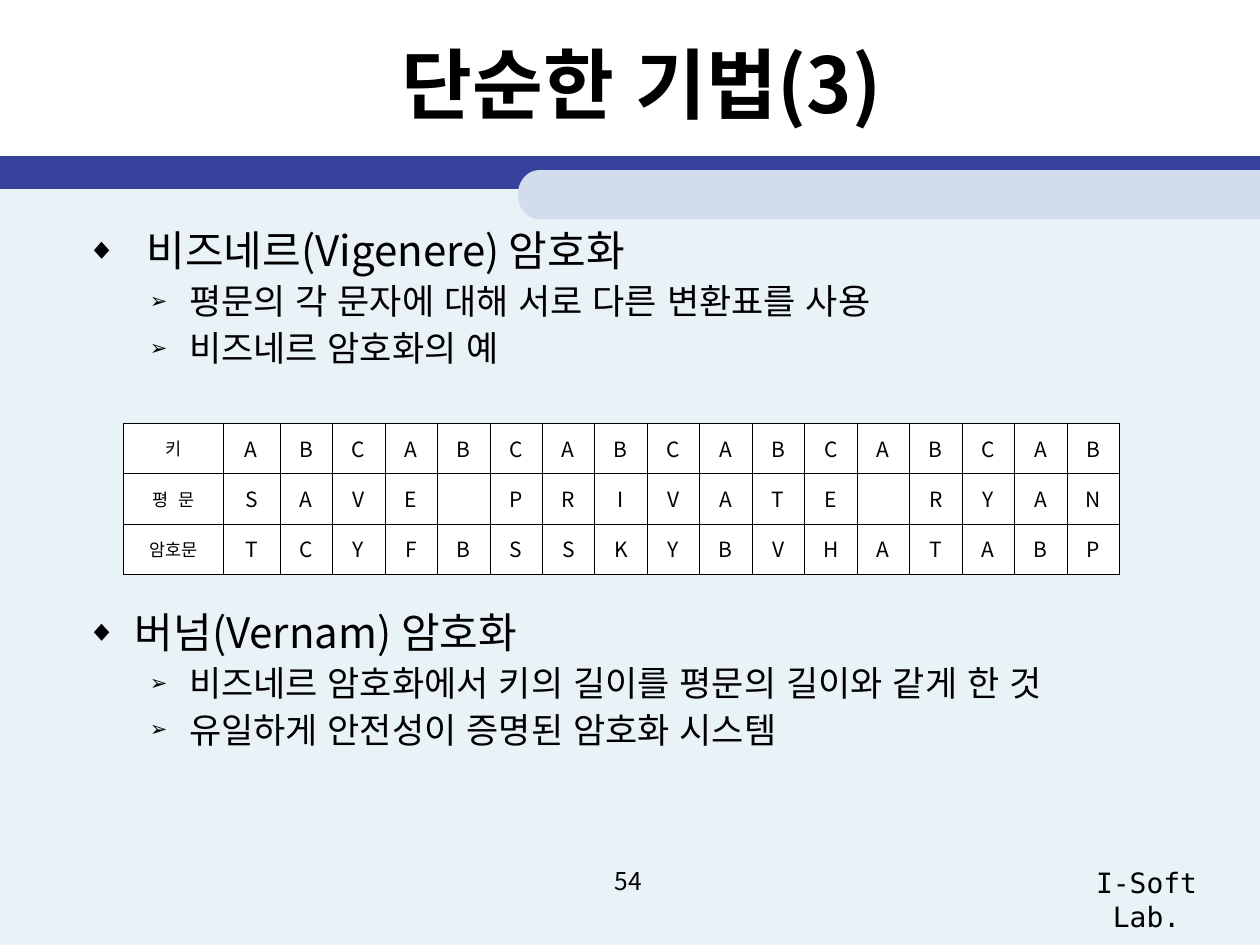
from math import cos, pi, sin

from lxml.etree import SubElement
from pptx import Presentation
from pptx.dml.color import RGBColor
from pptx.enum.lang import MSO_LANGUAGE_ID
from pptx.enum.shapes import MSO_SHAPE
from pptx.enum.text import MSO_ANCHOR, MSO_AUTO_SIZE, PP_ALIGN
from pptx.oxml.ns import qn
from pptx.util import Inches, Pt

TITLE = "단순한 기법(3)"
# level, text, space before in points
POINTS = [
    (0, " 비즈네르(Vigenere) 암호화", 0),
    (1, "평문의 각 문자에 대해 서로 다른 변환표를 사용", 5),
    (1, "비즈네르 암호화의 예", 5),
    (0, "버넘(Vernam) 암호화", 139),  # leaves room for the cipher table
    (1, "비즈네르 암호화에서 키의 길이를 평문의 길이와 같게 한 것", 5),
    (1, "유일하게 안전성이 증명된 암호화 시스템", 5),
]
CIPHER_ROWS = [
    ("키", "ABCABCABCABCABCAB"),
    ("평\u00a0 문", "SAVE PRIVATE RYAN"),
    ("암호문", "TCYFBSSKYBVHATABP"),
]
PAGE_NUMBER = "54"
LAB = "I-Soft Lab."

FONT = "Noto Sans CJK KR"
MONO = "DejaVu Sans Mono"
COLORS = {
    "text": "000000",
    "cell": "FFFFFF",
    "panel": "E8F2F7",
    "band": "36429B",
    "tab": "D1DDEC",
}
LEVELS = [
    {"size": 24, "margin": 0.38, "hanging": 0.38, "bullet": "◆", "percent": 70},
    {"size": 20, "margin": 0.81, "hanging": 0.31, "bullet": "➢", "percent": 60},
]


def color(name):
    return RGBColor.from_string(COLORS[name])


def write(para, text, size=12, font=FONT, bold=False, align=None):
    para.alignment = align
    span = para.add_run()
    span.text = text
    span.font.size = Pt(size)
    span.font.name = font
    span.font.bold = bold
    span.font.language_id = MSO_LANGUAGE_ID.KOREAN
    span.font.color.rgb = color("text")
    properties = span.font._element
    SubElement(properties, qn("a:ea")).set("typeface", font)


def place(box, left, top, width, height):
    box.left, box.top = Inches(left), Inches(top)
    box.width, box.height = Inches(width), Inches(height)


def paint(shape, name):
    shape.shadow.inherit = False
    shape.fill.solid()
    shape.fill.fore_color.rgb = color(name)
    shape.line.fill.background()


def add_backdrop(page):
    """Draw the panel, band and rounded tab behind the placeholders."""
    shapes = page.shapes
    panel, band = [
        shapes.add_shape(MSO_SHAPE.RECTANGLE, 0, Inches(top), Inches(10), Inches(height))
        for top, height in [(1.4, 6.1), (1.24, 0.26)]
    ]
    left, right, top, bottom = [Inches(edge) for edge in (4.11, 10, 1.35, 1.74)]
    radius_x, radius_y = Inches(0.17), (bottom - top) / 2
    steps = 24
    arc = [
        (left + radius_x * (1 - sin(pi * step / steps)),
         top + radius_y * (1 - cos(pi * step / steps)))
        for step in range(steps + 1)
    ]
    builder = shapes.build_freeform(right, top)
    builder.add_line_segments(arc + [(right, bottom)], close=True)
    tab = builder.convert_to_shape()
    for index, (shape, name) in enumerate([(panel, "panel"), (band, "band"), (tab, "tab")]):
        paint(shape, name)
        shapes._spTree.insert(2 + index, shape._element)


def add_bullet(para, margin, hanging, bullet, percent):
    properties = para._p.get_or_add_pPr()
    properties.set("marL", str(Inches(margin)))
    properties.set("indent", str(-Inches(hanging)))
    tint = SubElement(properties, qn("a:buClr"))
    SubElement(tint, qn("a:srgbClr")).set("val", COLORS["text"])
    SubElement(properties, qn("a:buSzPct")).set("val", str(percent * 1000))
    SubElement(properties, qn("a:buChar")).set("char", bullet)


def fill_body(body):
    place(body, 0.59, 1.78, 9, 4.95)
    frame = body.text_frame
    frame.auto_size = MSO_AUTO_SIZE.NONE
    for index, (level, text, space) in enumerate(POINTS):
        para = frame.add_paragraph() if index else frame.paragraphs[0]
        style = dict(LEVELS[level])
        size = style.pop("size")
        add_bullet(para, **style)
        para.level = level
        para.line_spacing = 0.9
        para.space_before = Pt(space)
        write(para, text, size=size, align=PP_ALIGN.LEFT)


def add_borders(cell):
    properties = cell._tc.get_or_add_tcPr()
    for index, side in enumerate(["a:lnL", "a:lnR", "a:lnT", "a:lnB"]):
        line = properties.makeelement(qn(side), {"w": str(Pt(0.06))})
        fill = SubElement(line, qn("a:solidFill"))
        SubElement(fill, qn("a:srgbClr")).set("val", COLORS["text"])
        properties.insert(index, line)


def add_cipher_table(page):
    width, height = 7.91, 1.19
    label_width, first_width = 0.79, 0.45
    letters = len(CIPHER_ROWS[0][1])
    letter_width = (width - label_width - first_width) / (letters - 1)
    widths = [label_width, first_width] + [letter_width] * (letters - 1)
    table = page.shapes.add_table(
        len(CIPHER_ROWS), len(widths), Inches(0.98), Inches(3.36), Inches(width), Inches(height)
    ).table
    for column, column_width in zip(table.columns, widths):
        column.width = Inches(column_width)
    for row, (label, text) in enumerate(CIPHER_ROWS):
        table.rows[row].height = Inches(height / len(CIPHER_ROWS))
        for column, value in enumerate([label, *text]):
            cell = table.cell(row, column)
            cell.fill.solid()
            cell.fill.fore_color.rgb = color("cell")
            cell.vertical_anchor = MSO_ANCHOR.MIDDLE
            add_borders(cell)
            write(cell.text_frame.paragraphs[0], value.strip(" "),
                  size=12 if column else 10, align=PP_ALIGN.CENTER)


def add_caption(page, text, left, width, height, **style):
    box = page.shapes.add_textbox(Inches(left), Inches(6.82), Inches(width), Inches(height))
    box.text_frame.word_wrap = True
    write(box.text_frame.paragraphs[0], text, align=PP_ALIGN.CENTER, **style)


def main():
    deck = Presentation()
    deck.slide_width, deck.slide_height = Inches(10), Inches(7.5)
    page = deck.slides.add_slide(deck.slide_layouts[1])
    add_backdrop(page)
    add_caption(page, LAB, 8.31, 1.58, 0.37, size=16, font=MONO)
    add_caption(page, PAGE_NUMBER, 3.82, 2.33, 0.52, size=14)

    title = page.shapes.title
    place(title, 0.59, 0.08, 9, 1.15)
    title.text_frame.vertical_anchor = MSO_ANCHOR.MIDDLE
    write(title.text_frame.paragraphs[0], TITLE, size=44, bold=True, align=PP_ALIGN.CENTER)

    fill_body(page.placeholders[1])
    add_cipher_table(page)
    deck.save("out.pptx")


if __name__ == "__main__":
    main()
